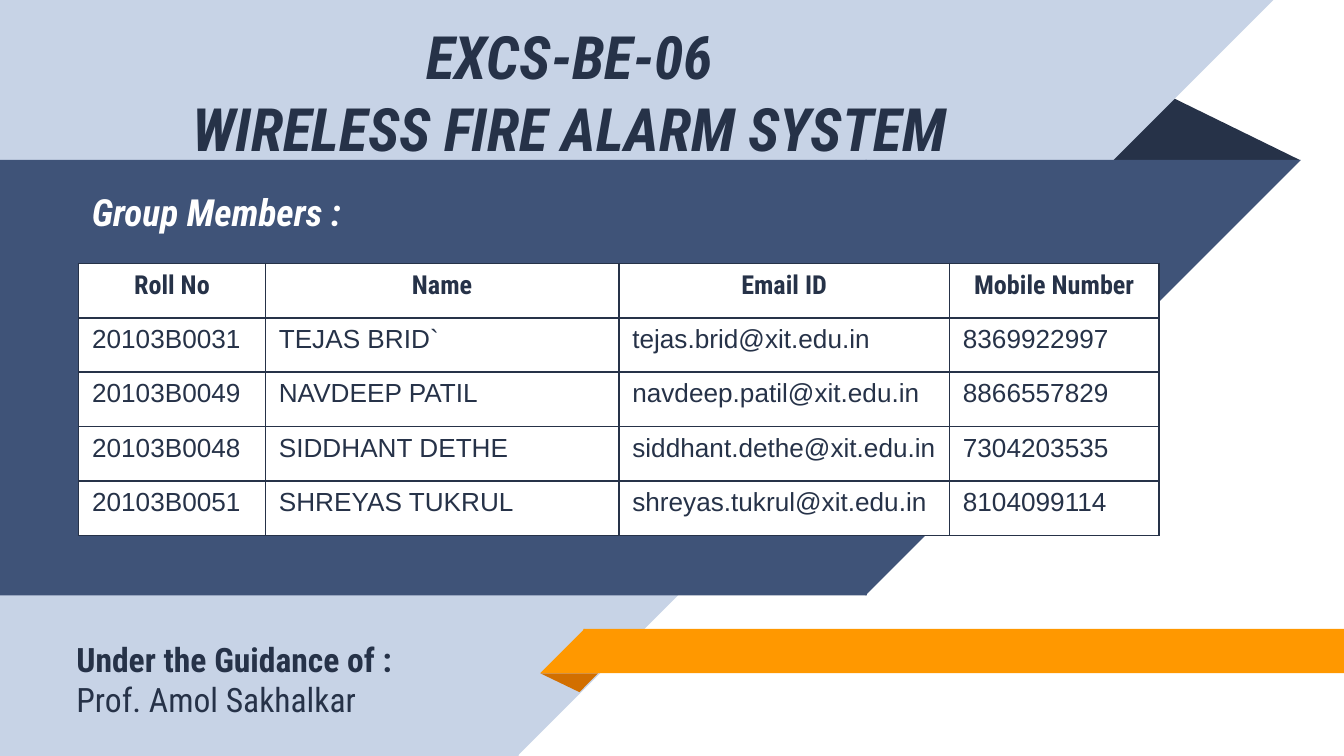
from dataclasses import dataclass

from lxml.etree import SubElement
from pptx import Presentation
from pptx.dml.color import RGBColor as Color
from pptx.enum.shapes import MSO_SHAPE as Preset
from pptx.enum.text import MSO_ANCHOR as Anchor, PP_ALIGN as Align
from pptx.oxml.ns import qn
from pptx.util import Inches, Pt


@dataclass(frozen=True)
class Theme:
    """Colours, fonts and type sizes of the deck."""
    ink: str = "263248"
    pale: str = "C7D3E6"
    navy: str = "3F5378"
    orange: str = "FF9800"
    rust: str = "D26F00"
    white: str = "FFFFFF"
    display: str = "Roboto Condensed"
    body: str = "Arial"
    title_size: int = 32
    heading_size: int = 20
    note_size: int = 18
    table_size: int = 14


THEME = Theme()
WIDTH = 10
HEIGHT = WIDTH * 9 / 16
COLUMNS = 100
ROWS = COLUMNS * 9 / 16
OVERLAP = 0.1
SLOPE_LEFT = 38.5
BAND_TOP, BAND_END, BAND_DEPTH = 11.9, 64.4, 32.4
RIBBON_LEFT, RIBBON_TOP, RIBBON_DEPTH = 40.2, 46.8, 3.3
HEADERS = ("Roll No", "Name", "Email ID", "Mobile Number")
MEMBERS = (
    ("20103B0031", "TEJAS BRID`", "tejas.brid", "8369922997"),
    ("20103B0049", "NAVDEEP PATIL", "navdeep.patil", "8866557829"),
    ("20103B0048", "SIDDHANT DETHE", "siddhant.dethe", "7304203535"),
    ("20103B0051", "SHREYAS TUKRUL", "shreyas.tukrul", "8104099114"),
)
MAIL_DOMAIN = "@xit.edu.in"


def grid(cells):
    """Turn a count of square grid cells into a length."""
    return Inches(cells * WIDTH / COLUMNS)


def place(left, top, width, height):
    """Turn a grid position and size into lengths."""
    return [grid(value) for value in (left, top, width, height)]


def add_panel(page, preset, area, color, turned=False, flipped=False, apex=None):
    """Add a flat shape, optionally turned half round or mirrored."""
    panel = page.shapes.add_shape(preset, *place(*area))
    panel.shadow.inherit = False
    panel.fill.solid()
    panel.fill.fore_color.rgb = Color.from_string(color)
    panel.line.fill.background()
    if turned:
        panel.rotation = 180
    if flipped:
        panel.element.spPr.get_or_add_xfrm().set("flipH", "1")
    if apex is not None:
        panel.adjustments[0] = apex


def add_span(para, text, size, color=THEME.ink, font=THEME.display, bold=False, italic=False):
    """Add one formatted run to a paragraph."""
    span = para.add_run()
    span.text = text
    span.font.name = font
    span.font.size = Pt(size)
    span.font.bold = bold
    span.font.italic = italic
    span.font.color.rgb = Color.from_string(color)


def fill_lines(frame, lines, align=Align.LEFT):
    """Write one paragraph for each line of text and its style."""
    for index, (text, style) in enumerate(lines):
        para = frame.add_paragraph() if index else frame.paragraphs[0]
        para.alignment = align
        add_span(para, text, **style)


def add_text(page, area, lines):
    """Add a wrapped text box."""
    box = page.shapes.add_textbox(*place(*area))
    box.text_frame.word_wrap = True
    fill_lines(box.text_frame, lines)


def set_title(page, area, lines):
    """Move the title placeholder to the front and write it."""
    title = page.shapes.title
    title.left, title.top, title.width, title.height = place(*area)
    page.shapes.element.append(title.element)
    title.text_frame.word_wrap = True
    title.text_frame.vertical_anchor = Anchor.TOP
    style = dict(size=THEME.title_size, bold=True, italic=True)
    fill_lines(title.text_frame, [(line, style) for line in lines], Align.CENTER)


def format_cell(cell, color):
    """Give a table cell thin borders and a white fill."""
    properties = cell._tc.get_or_add_tcPr()
    for side in ("a:lnL", "a:lnR", "a:lnT", "a:lnB"):
        line = SubElement(properties, qn(side), w=str(Pt(1)))
        SubElement(SubElement(line, qn("a:solidFill")), qn("a:srgbClr"), val=color)
    cell.fill.solid()
    cell.fill.fore_color.rgb = Color.from_string(THEME.white)


def add_member_table(page, left, top, widths, row_height):
    """Add the table of group members."""
    rows = [HEADERS] + [(roll, name, mail + MAIL_DOMAIN, phone) for roll, name, mail, phone in MEMBERS]
    area = place(left, top, sum(widths), row_height * len(rows))
    table = page.shapes.add_table(len(rows), len(widths), *area).table
    table.horz_banding = False
    for column, width in zip(table.columns, widths):
        column.width = grid(width)
    for index, row in enumerate(rows):
        header = index == 0
        font = THEME.display if header else THEME.body
        style = dict(size=THEME.table_size, font=font, bold=header)
        table.rows[index].height = grid(row_height)
        for cell, text in zip(table.rows[index].cells, row):
            fill_lines(cell.text_frame, [(text, style)], Align.CENTER if header else Align.LEFT)
            format_cell(cell, THEME.ink)


def add_backdrop(page):
    """Add the folded bands behind the content."""
    ribbon_start = RIBBON_LEFT + RIBBON_DEPTH - OVERLAP
    add_panel(page, Preset.ISOSCELES_TRIANGLE, (82.5, 7.2, 14.2, 4.7), THEME.ink, apex=0.324)
    add_panel(page, Preset.RECTANGLE, (0, 0, SLOPE_LEFT + OVERLAP, ROWS), THEME.pale)
    add_panel(page, Preset.RIGHT_TRIANGLE, (SLOPE_LEFT, 0, ROWS, ROWS), THEME.pale, True, True)
    add_panel(page, Preset.RECTANGLE, (0, BAND_TOP, BAND_END + OVERLAP, BAND_DEPTH), THEME.navy)
    add_panel(page, Preset.RIGHT_TRIANGLE, (BAND_END, BAND_TOP, BAND_DEPTH, BAND_DEPTH),
              THEME.navy, True, True)
    add_panel(page, Preset.ISOSCELES_TRIANGLE, (RIBBON_LEFT, RIBBON_TOP + RIBBON_DEPTH, 4.3, 1.4),
              THEME.rust, turned=True, apex=0.324)
    add_panel(page, Preset.RECTANGLE,
              (ribbon_start, RIBBON_TOP, COLUMNS - ribbon_start, RIBBON_DEPTH), THEME.orange)
    add_panel(page, Preset.RIGHT_TRIANGLE, (RIBBON_LEFT, RIBBON_TOP, RIBBON_DEPTH, RIBBON_DEPTH),
              THEME.orange, flipped=True)


def main():
    """Build and save the deck."""
    deck = Presentation()
    deck.slide_width, deck.slide_height = Inches(WIDTH), Inches(HEIGHT)
    page = deck.slides.add_slide(deck.slide_layouts[5])
    add_backdrop(page)
    set_title(page, (4, 1, 76.8, 11.8), ("EXCS-BE-06", "WIRELESS FIRE ALARM SYSTEM"))
    add_member_table(page, 5.85, 19.6, (13.9, 26.3, 24.6, 15.6), 4.05)
    heading = dict(size=THEME.heading_size, color=THEME.white, bold=True, italic=True)
    add_text(page, (5.85, 13.6, 32.2, 4.4), [("Group Members :", heading)])
    add_text(page, (4.7, 47.05, 32.2, 9.2), [
        ("Under the Guidance of :", dict(size=THEME.note_size, bold=True)),
        ("Prof. Amol Sakhalkar", dict(size=THEME.note_size)),
    ])
    deck.save("out.pptx")


if __name__ == "__main__":
    main()
